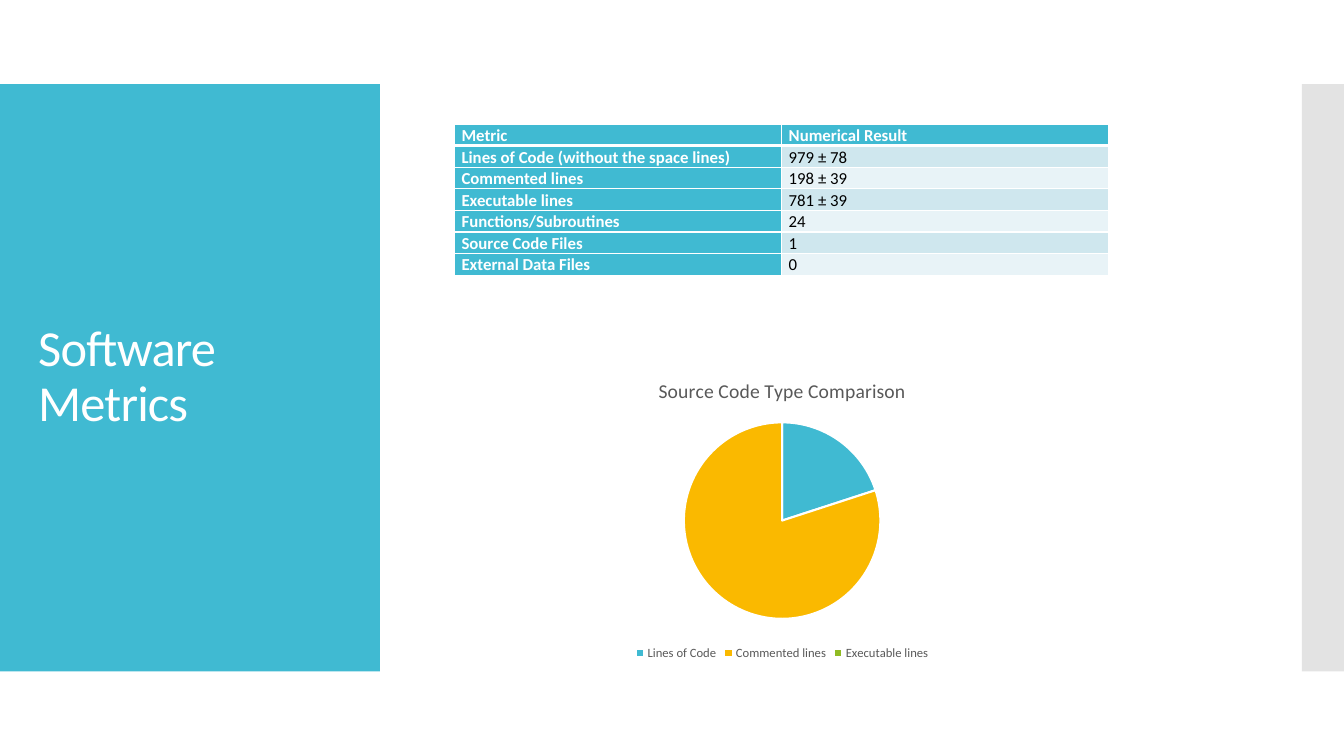
"""Build the Software Metrics slide with a table and a pie chart."""
from dataclasses import dataclass
from typing import Any

from lxml import etree
from pptx import Presentation, oxml
from pptx import slide as sl
from pptx import util as u
from pptx.chart import data as cd
from pptx.dml import color as col
from pptx.enum import chart as ch, shapes, text
from pptx.oxml import ns

Pt = u.Pt
RGB = col.RGBColor
WHITE = RGB(0xFF, 0xFF, 0xFF)
BLACK = RGB(0x00, 0x00, 0x00)
GREY = RGB(0x59, 0x59, 0x59)
SILVER = RGB(0xC8, 0xC8, 0xC8)
TEAL = RGB(0x40, 0xBA, 0xD2)
GOLD = RGB(0xFA, 0xB9, 0x00)
GREEN = RGB(0x90, 0xBB, 0x23)
BANDS = (RGB(0xCF, 0xE7, 0xEE), RGB(0xE8, 0xF3, 0xF7))
FACE = "Calibri"

ROWS = (
    ("Metric", "Numerical Result"),
    ("Lines of Code (without the space lines)", "979 ± 78"),
    ("Commented lines", "198 ± 39"),
    ("Executable lines", "781 ± 39"),
    ("Functions/Subroutines", "24"),
    ("Source Code Files", "1"),
    ("External Data Files", "0"),
)


@dataclass(frozen=True)
class Panel:
    """A full-height colour block at one edge."""
    left: float
    width: float
    fill: RGB
    alpha: int = 100


@dataclass(frozen=True)
class Slice:
    """One category of the pie."""
    name: str
    value: float | None
    fill: RGB


PANELS = (Panel(0, 271.4, TEAL), Panel(930, 30, SILVER, 50))
SLICES = (
    Slice("Lines of Code", 20, TEAL),
    Slice("Commented lines", 80, GOLD),
    Slice("Executable lines", None, GREEN),
)


def put(item: Any, vals: dict[str, Any]) -> None:
    """Set each named value on the item."""
    for key, val in vals.items():
        setattr(item, key, val)


def style(font: Any, size: float, tint: RGB, bold: bool = False) -> None:
    """Format a font."""
    put(font, {"name": FACE, "size": Pt(size), "bold": bold})
    font.color.rgb = tint


def paint(item: Any, tint: RGB) -> None:
    """Give an item a solid fill."""
    item.fill.solid()
    item.fill.fore_color.rgb = tint


def block(slide: sl.Slide, panel: Panel) -> None:
    """Draw one edge panel."""
    box = slide.shapes.add_shape(
        shapes.MSO_SHAPE.RECTANGLE,
        Pt(panel.left), Pt(60), Pt(panel.width), Pt(419.5))
    box.shadow.inherit = False
    box.line.fill.background()
    paint(box, panel.fill)
    if panel.alpha < 100:
        tone = box.fill._xPr.find(".//" + ns.qn("a:srgbClr"))
        etree.SubElement(tone, ns.qn("a:alpha"), val=str(panel.alpha * 1000))


def title(slide: sl.Slide) -> None:
    """Write the slide title."""
    box = slide.shapes.add_textbox(Pt(20.2), Pt(88.6), Pt(231.8), Pt(362.2))
    frame = box.text_frame
    put(frame, {"word_wrap": True, "vertical_anchor": text.MSO_ANCHOR.MIDDLE})
    para = frame.paragraphs[0]
    para.line_spacing = 0.9
    run = para.add_run()
    run.text = "Software Metrics"
    style(run.font, 36, WHITE)
    run.font._element.set("spc", "-60")


def edge(cell: Any, row: int) -> None:
    """Draw white cell borders, thick below the header."""
    props = cell._tc.get_or_add_tcPr()
    wide = {"T": 3 if row == 1 else 1, "B": 3 if row == 0 else 1}
    for spot, side in enumerate("LRTB"):
        size = Pt(wide.get(side, 1))
        props.insert(spot, oxml.parse_xml(
            f'<a:ln{side} {ns.nsdecls("a")} w="{size}"><a:solidFill>'
            f'<a:srgbClr val="{WHITE}"/></a:solidFill></a:ln{side}>'))


def table(slide: sl.Slide) -> None:
    """Draw the metrics table."""
    grid = slide.shapes.add_table(
        len(ROWS), 2, Pt(324.7), Pt(88.6), Pt(467.4), Pt(102.9)).table
    form = {"margin_left": Pt(5), "margin_right": Pt(5),
            "margin_top": 0, "margin_bottom": 0}
    for r, words in enumerate(ROWS):
        grid.rows[r].height = Pt(14.7)
        for c, word in enumerate(words):
            cell = grid.cell(r, c)
            head = r == 0 or c == 0
            put(cell, form)
            paint(cell, TEAL if head else BANDS[(r - 1) % 2])
            edge(cell, r)
            para = cell.text_frame.paragraphs[0]
            para.line_spacing = 1.07
            run = para.add_run()
            run.text = word
            style(run.font, 12, WHITE if head else BLACK, head)


def place(chart: Any) -> None:
    """Fix the pie inside the chart frame."""
    area = chart._chartSpace.chart.plotArea
    for old in area.findall(ns.qn("c:layout")):
        area.remove(old)
    spots = {"xMode": "edge", "yMode": "edge",
             "x": 0.305, "y": 0.2, "w": 0.39, "h": 0.65}
    body = "".join(f'<c:{k} val="{v}"/>' for k, v in spots.items())
    area.insert(0, oxml.parse_xml(
        f'<c:layout {ns.nsdecls("c")}><c:manualLayout>'
        f'<c:layoutTarget val="inner"/>{body}</c:manualLayout></c:layout>'))


def pie(slide: sl.Slide) -> None:
    """Draw the pie chart."""
    data = cd.CategoryChartData()
    data.categories = [s.name for s in SLICES]
    data.add_series("Series 1", [s.value for s in SLICES])
    chart = slide.shapes.add_chart(
        ch.XL_CHART_TYPE.PIE, Pt(378.7), Pt(258.5), Pt(360), Pt(216),
        data).chart
    style(chart.font, 10, BLACK)
    put(chart, {"has_title": True, "has_legend": True})
    para = chart.chart_title.text_frame.paragraphs[0]
    run = para.add_run()
    run.text = "Source Code Type Comparison"
    style(run.font, 14, GREY)
    put(chart.legend, {"position": ch.XL_LEGEND_POSITION.BOTTOM,
                       "include_in_layout": False})
    style(chart.legend.font, 9, GREY)
    plot = chart.plots[0]
    plot.vary_by_categories = True
    for n, part in enumerate(SLICES):
        form = plot.series[0].points[n].format
        paint(form, part.fill)
        form.line.color.rgb = WHITE
        form.line.width = Pt(1.5)
    place(chart)


def main() -> None:
    """Build and save the deck."""
    deck = Presentation()
    put(deck, {"slide_width": Pt(960), "slide_height": Pt(540)})
    slide = deck.slides.add_slide(deck.slide_layouts[6])
    paint(slide.background, WHITE)
    for panel in PANELS:
        block(slide, panel)
    title(slide)
    table(slide)
    pie(slide)
    deck.save("out.pptx")


if __name__ == "__main__":
    main()
